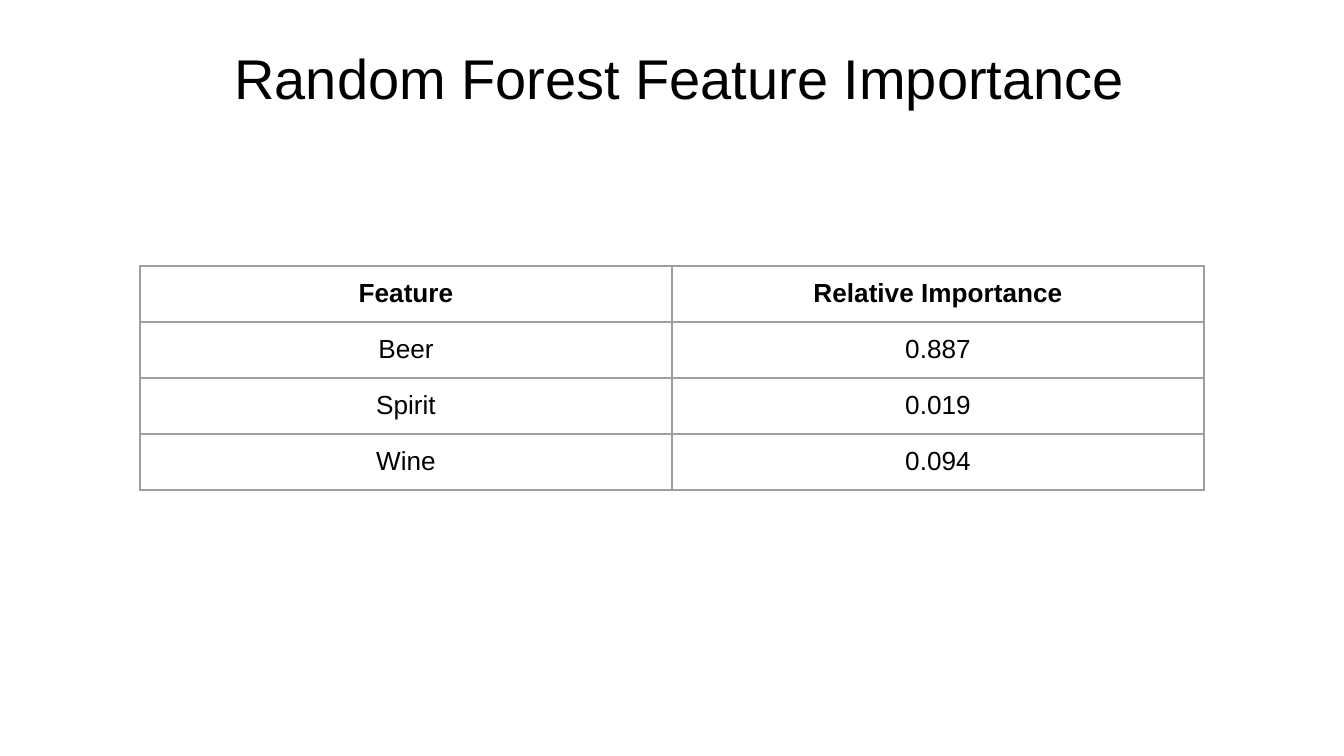
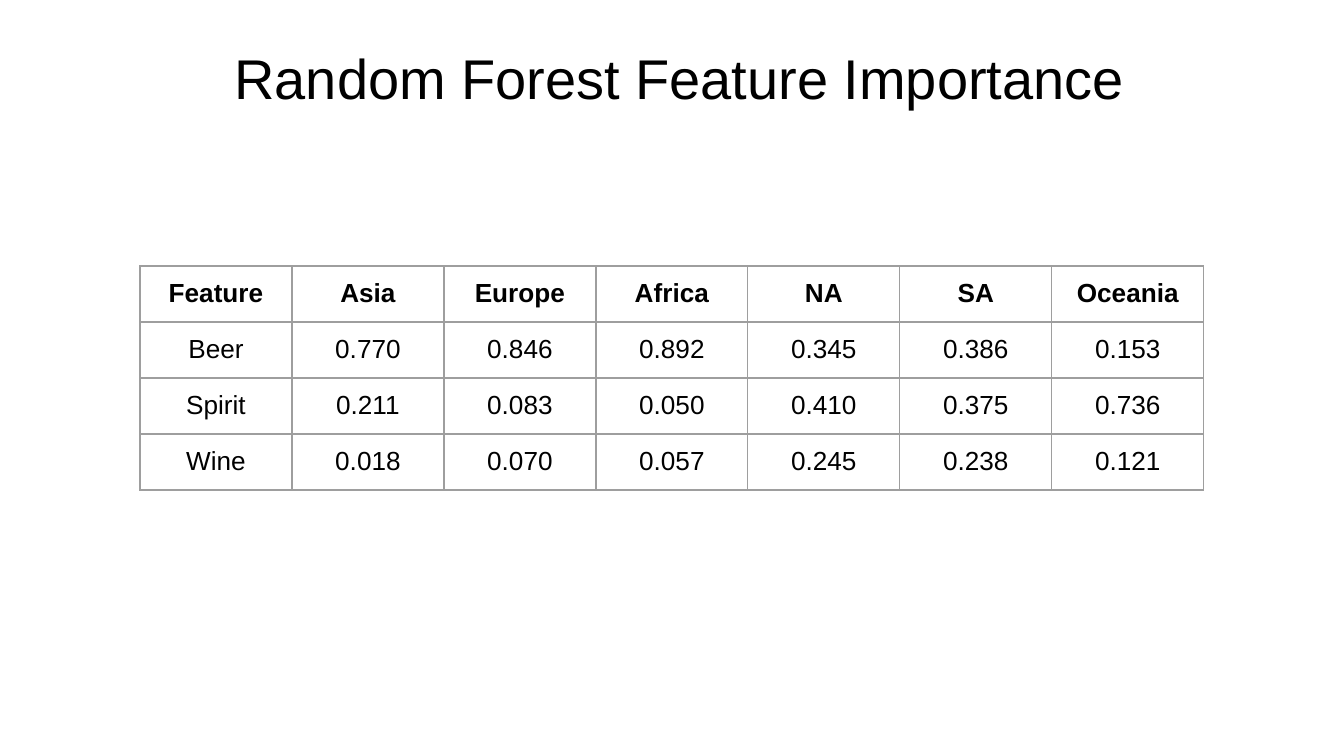
"""Build two slides of random forest feature importance tables."""
import lxml.etree
import pptx
import pptx.dml.color
import pptx.enum.text
import pptx.oxml.ns
import pptx.util

BLACK = pptx.dml.color.RGBColor(0x00, 0x00, 0x00)
WHITE = pptx.dml.color.RGBColor(0xFF, 0xFF, 0xFF)
GRAY = pptx.dml.color.RGBColor(0x9E, 0x9E, 0x9E)
FONT = "Arial"
TITLE = "Random Forest Feature Importance"
TITLE_ONLY = 5
PAD = 13
ROW_HEIGHT = 56
TABLE_LEFT, TABLE_TOP, TABLE_WIDTH = 140, 266, 1064

OVERALL = [
    ("Feature", "Relative Importance"),
    ("Beer", "0.887"),
    ("Spirit", "0.019"),
    ("Wine", "0.094"),
]
BY_CONTINENT = [
    ("Feature", "Asia", "Europe", "Africa", "NA", "SA", "Oceania"),
    ("Beer", "0.770", "0.846", "0.892", "0.345", "0.386", "0.153"),
    ("Spirit", "0.211", "0.083", "0.050", "0.410", "0.375", "0.736"),
    ("Wine", "0.018", "0.070", "0.057", "0.245", "0.238", "0.121"),
]


def px(n):
    """Turn pixels into EMU."""
    return pptx.util.Emu(round(n * 914400 / 134.4))


class Deck:
    """Hold the shared style and the current slide."""

    def __init__(self):
        """Start an empty deck."""
        self.prs = pptx.Presentation()
        self.prs.slide_width, self.prs.slide_height = px(1344), px(756)
        self.s = None

    def slide(self, title):
        """Add a white slide with a centred title."""
        self.s = self.prs.slides.add_slide(self.prs.slide_layouts[TITLE_ONLY])
        fill = self.s.background.fill
        fill.solid()
        fill.fore_color.rgb = WHITE
        sp = self.s.shapes.title
        sp.left, sp.top, sp.width, sp.height = px(185), px(24), px(989), px(130)
        tf = sp.text_frame
        tf.text = title
        tf.word_wrap = True
        tf.auto_size = pptx.enum.text.MSO_AUTO_SIZE.NONE
        tf.vertical_anchor = pptx.enum.text.MSO_ANCHOR.TOP
        self.pad(tf)
        self.style(tf.paragraphs[0], 30)
        tf.paragraphs[0].line_spacing = 1.1

    def pad(self, box):
        """Set equal margins on a text frame or cell."""
        box.margin_left = box.margin_right = px(PAD)
        box.margin_top = box.margin_bottom = px(PAD)

    def style(self, p, size, bold=False):
        """Centre a paragraph and set its font."""
        p.alignment = pptx.enum.text.PP_ALIGN.CENTER
        p.font.name = FONT
        p.font.size = pptx.util.Pt(size)
        p.font.bold = bold
        p.font.color.rgb = BLACK

    def borders(self, cell):
        """Draw a thin gray line on every side of a cell."""
        qn = pptx.oxml.ns.qn
        props = cell._tc.get_or_add_tcPr()
        for side in ("a:lnL", "a:lnR", "a:lnT", "a:lnB"):
            ln = lxml.etree.SubElement(props, qn(side), w=str(pptx.util.Pt(0.75)))
            fill = lxml.etree.SubElement(ln, qn("a:solidFill"))
            lxml.etree.SubElement(fill, qn("a:srgbClr"), val=str(GRAY))

    def table(self, rows):
        """Add a bordered table with equal columns and a bold header."""
        count = len(rows[0])
        table = self.s.shapes.add_table(
            len(rows), count, px(TABLE_LEFT), px(TABLE_TOP),
            px(TABLE_WIDTH), px(ROW_HEIGHT * len(rows))).table
        table.first_row = table.horz_banding = False
        for col in table.columns:
            col.width = px(TABLE_WIDTH / count)
        for i, row in enumerate(rows):
            table.rows[i].height = px(ROW_HEIGHT)
            for j, text in enumerate(row):
                cell = table.cell(i, j)
                cell.text = text
                self.pad(cell)
                self.style(cell.text_frame.paragraphs[0], 14, bold=i == 0)
                self.borders(cell)
                cell.fill.background()


deck = Deck()
for rows in (OVERALL, BY_CONTINENT):
    deck.slide(TITLE)
    deck.table(rows)
deck.prs.save("out.pptx")
